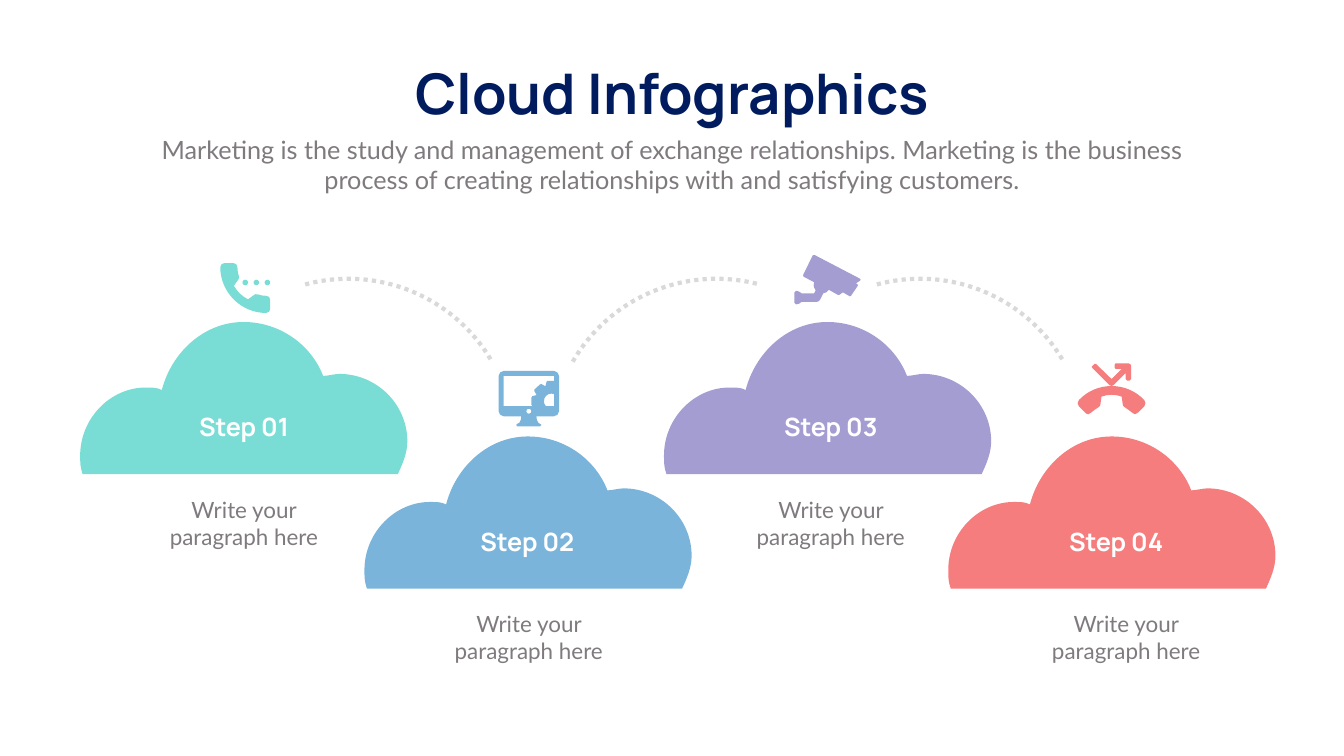
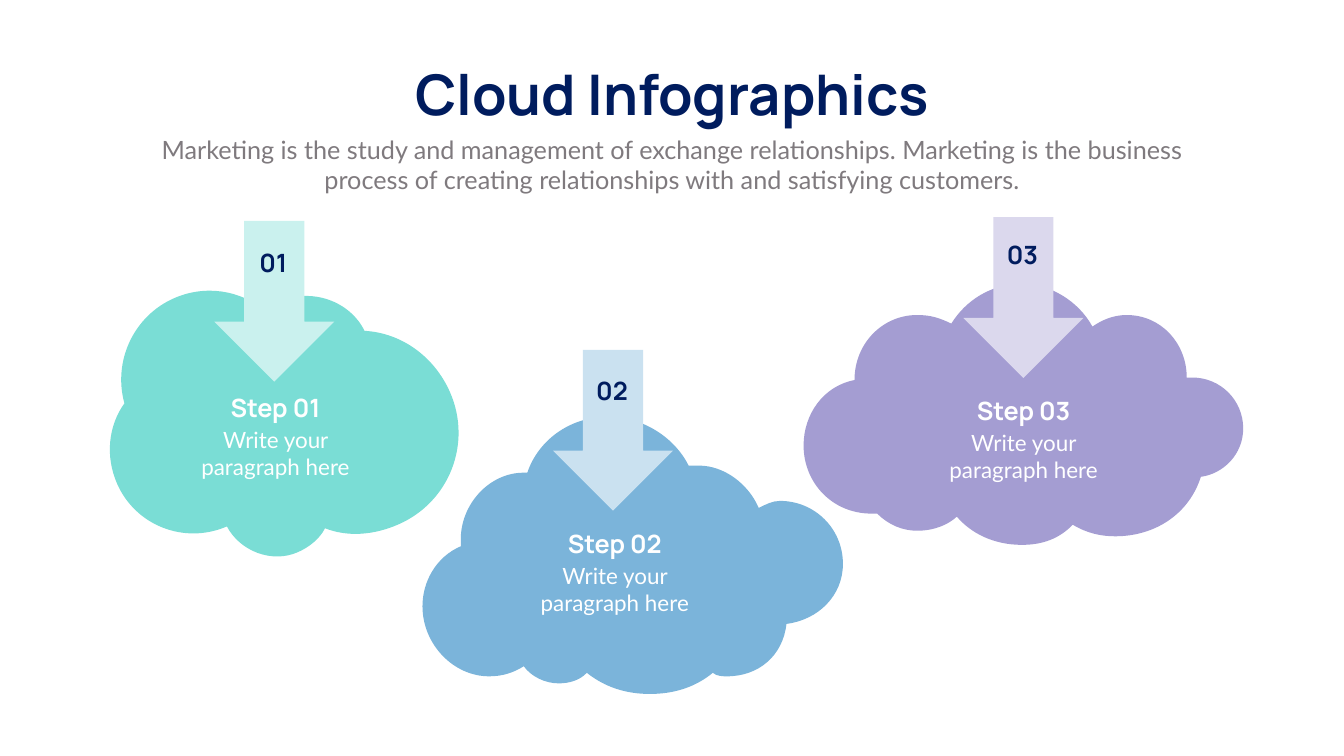
from dataclasses import dataclass

from lxml.etree import Element, SubElement
from pptx import Presentation
from pptx.dml.color import RGBColor
from pptx.enum.dml import MSO_LINE_DASH_STYLE as Dash
from pptx.enum.shapes import MSO_SHAPE as Preset
from pptx.enum.text import MSO_ANCHOR as Anchor, MSO_AUTO_SIZE as AutoSize, PP_ALIGN as Align
from pptx.oxml.ns import qn
from pptx.util import Pt


@dataclass(frozen=True)
class Theme:
    navy: str = "001C5E"
    grey: str = "7F7A7E"
    white: str = "FFFFFF"
    dots: str = "D9D9D9"
    accents: tuple = ("7ADDD5", "7BB4DA", "A49DD2", "F57D7D")
    tints: tuple = ("CAF1EE", "CAE1F0", "DBD8ED")
    # Text styles: font, size, bold
    title: tuple = ("Manrope", 80, True)
    heading: tuple = ("Manrope", 36, True)
    intro: tuple = ("Lato", 36, False)
    body: tuple = ("Lato", 32, False)


theme = Theme()
teal, blue, violet, coral = theme.accents
GRID = Pt(0.72)  # one unit of the outlines below

# Outlines: "x,y" is a line, six numbers are a curve, "/" starts a new contour
STEP_CLOUD = """630,302 639,283,649,260,649,237 649,163,588,103,514,103
    505,103,491,107,482,107 459,47,398,0,324,0 245,0,181,61,162,135
    153,130,144,130,130,130 60,130,0,191,0,265 0,279,0,288,5,302"""
MONITOR = """110,0 10,0 5,0,0,5,0,10 0,80 0,85,5,90,10,90 45,90 45,94,44,100,41,103
    40,104,39,105,37,105 36,105,35,106,35,107 35,109,36,110,37,110 82,110
    84,110,85,109,85,107 85,106,84,105,82,105 81,105,80,104,79,103
    76,100,75,94,75,90 110,90 115,90,120,85,120,80 120,10 120,5,115,0,110,0
    / 60,85 57,85,55,83,55,80 55,77,57,75,60,75 63,75,65,77,65,80 65,83,63,85,60,85
    / 82,27 71,37 70,38,70,39,71,40 75,47 75,47,75,48,75,48 67,50 66,50,65,51,65,53
    65,67 65,69,66,70,67,70 10,70 10,10 110,10 110,20 97,20 96,20,95,21,95,22 93,30
    93,30,92,30,92,30 85,26 84,26,83,26,82,27
    / 94,70 91,67,90,64,90,60 90,52,96,45,105,45 106,45,108,45,110,46 110,70"""
PHONE = """91,65 85,65,79,64,74,62 71,61,68,62,66,64 55,72 42,65,34,57,27,45 35,34
    37,32,38,29,37,26 35,20,34,14,34,8 34,4,31,0,26,0 8,0 4,0,0,4,0,8
    0,58,41,99,91,99 96,99,99,95,99,91 99,73 99,68,96,65,91,65"""
CAMERA = """130,47 40,0 39,0,38,0,38,0 37,0,36,1,36,1 17,40 16,41,17,43,18,43 39,54
    39,56,38,58,38,60 38,64,40,67,42,70 39,76 14,76 11,73,7,71,3,71 1,71,0,72,0,74
    0,95 0,97,1,98,3,98 7,98,11,96,14,93 44,93 47,93,50,91,51,88 57,76
    61,76,66,73,68,69 86,79 87,79,87,79,88,79 88,79,89,79,89,79 96,74 108,81
    108,82,109,82,109,82 110,82,111,81,112,81 125,62 126,61,126,60,126,59
    126,59,125,58,124,58 122,56 130,51 131,51,131,50,131,49 131,48,131,47,130,47"""
MISSED_ARROW = """34,43 35,44,37,45,38,45 39,45,41,44,42,43 66,19 66,31 66,32,67,34,69,34
    74,34 76,34,77,32,77,31 77,6 77,3,75,0,72,0 46,0 45,0,44,1,44,3 44,8
    44,10,45,11,46,11 58,11 38,31 7,1 6,0,5,0,4,1 0,5 -2,6,-2,8,0,9"""
HANDSET = """130,28 113,10,90,0,65,0 40,0,17,10,0,28 -3,31,-3,37,0,40 13,53
    14,55,17,56,19,56 21,56,23,55,24,53 29,49,34,45,39,42 42,41,43,38,43,35 45,21
    59,16,70,16,85,21 87,35 87,38,88,41,91,42 96,45,101,49,106,53
    109,57,114,57,117,53 130,40 133,37,133,31,130,28"""
TILTED_CLOUD = """571,210 568,144,509,89,438,89 428,88,417,92,405,93 376,37,318,0,251,0
    163,0,89,66,77,152 30,180,0,233,0,292 0,383,74,457,166,457 170,512,218,560,274,560
    299,560,325,553,343,538 376,571,424,589,479,589 590,589,678,500,678,390
    678,313,637,243,571,210"""
TALL_CLOUD = """834,292 834,222,778,167,709,167 694,167,681,174,667,181
    646,132,597,97,549,97 542,97,534,97,528,97 500,41,437,0,368,0 291,0,229,48,208,111
    201,111 132,111,76,174,76,243 76,250,76,250,76,257 27,278,0,327,0,376
    0,452,62,515,132,515 159,515,180,508,201,495 215,515,243,529,270,529
    291,529,312,523,326,508 361,536,403,550,451,550 500,550,542,536,576,508
    583,515,597,515,604,515 667,515,715,474,722,411 785,403,834,355,834,292"""
WIDE_CLOUD = """872,287 872,231,827,186,771,186 765,186,765,186,760,186
    760,118,709,62,641,62 613,62,590,73,573,85 545,34,489,0,433,0 371,0,321,34,293,79
    270,68,253,62,225,62 157,62,101,118,101,191 39,203,0,259,0,321 0,394,56,456,135,456
    140,456,140,456,146,456 168,478,196,490,225,490 259,490,287,478,304,462
    332,495,377,518,433,518 472,518,506,507,534,478 562,495,590,501,618,501
    698,501,765,456,788,383 833,377,872,338,872,287"""


def draw_outline(slide, outline, left, top, colour, rotation=0):
    contours = [[[int(number) for number in segment.split(",")] for segment in contour.split()]
                for contour in outline.split("/")]
    builder = slide.shapes.build_freeform(*contours[0][0], scale=GRID)
    for index, contour in enumerate(contours):
        if index:
            builder.move_to(*contour[0])
        builder.add_line_segments([segment[-2:] for segment in contour[1:]], close=True)
    shape = builder.convert_to_shape(Pt(left), Pt(top))
    shape.rotation = rotation
    shape.shadow.inherit = False
    shape.fill.solid()
    shape.fill.fore_color.rgb = RGBColor.from_string(colour)
    shape.line.fill.background()

    # Turn the six-number segments into true curves
    path = shape._element.find(".//" + qn("a:path"))
    segments = [segment for contour in contours for segment in contour[1:]]
    for line, segment in zip(path.findall(qn("a:lnTo")), segments):
        if len(segment) == 6:
            curve = Element(qn("a:cubicBezTo"))
            for x, y in zip(segment[::2], segment[1::2]):
                SubElement(curve, qn("a:pt"), x=str(x), y=str(y))
            path.replace(line, curve)


def write_text(slide, text, box, style, colour, shape=None):
    left, top, width, height = [Pt(length) for length in box]
    if shape is None:
        shape = slide.shapes.add_textbox(left, top, width, height)
    shape.left, shape.top, shape.width, shape.height = left, top, width, height
    frame = shape.text_frame
    frame.text = text
    frame.word_wrap = style != theme.title
    frame.auto_size = AutoSize.SHAPE_TO_FIT_TEXT
    frame.vertical_anchor = Anchor.TOP
    paragraph = frame.paragraphs[0]
    paragraph.alignment = Align.CENTER
    font = paragraph.runs[0].font
    font.name, size, font.bold = style
    font.size = Pt(size)
    font.color.rgb = RGBColor.from_string(colour)


presentation = Presentation()
presentation.slide_width, presentation.slide_height = Pt(1919.52), Pt(1080)

# Title and introduction on both slides
slides = []
for title_top in (80.6, 82.1):
    slide = presentation.slides.add_slide(presentation.slide_layouts[5])
    write_text(slide, "Cloud Infographics", (555.8, title_top, 808.6, 104.4),
               theme.title, theme.navy, slide.shapes.title)
    write_text(slide, "Marketing is the study and management of exchange relationships. "
               "Marketing is the business process of creating relationships with and "
               "satisfying customers.", (210.2, 187.9, 1499, 94.3), theme.intro, theme.grey)
    slides.append(slide)
steps_slide, arrows_slide = slides
CAPTION = "Write your paragraph here"

# Slide 1: clouds on two levels, with label and caption
steps = [  # cloud left, cloud top, label left, caption left
    (114.5, 460, 177.8, 195.8),
    (520.5, 623.5, 582.5, 602.6),
    (948.3, 460, 1015.9, 1033.9),
    (1354.3, 623.5, 1423.4, 1455.8),
]
for number, (left, top, label_left, caption_left) in enumerate(steps, 1):
    draw_outline(steps_slide, STEP_CLOUD, left, top, theme.accents[number - 1])
    write_text(steps_slide, f"Step {number:02}", (label_left, top + 124.4, 341.3, 51.1),
               theme.heading, theme.white)
    write_text(steps_slide, CAPTION, (caption_left, top + 244.8, 305.3, 85),
               theme.body, theme.grey)

# Icons above the clouds
for outline, left, top, colour in [
    (MONITOR, 712.1, 529.9, blue),
    (PHONE, 314.6, 375.8, teal),
    (CAMERA, 1134.7, 364.3, violet),
    (MISSED_ARROW, 1560.2, 519.1, coral),
    (HANDSET, 1540.8, 551.5, coral),
]:
    draw_outline(steps_slide, outline, left, top, colour)
for index in range(3):
    dot = steps_slide.shapes.add_shape(Preset.OVAL, Pt(346.3 + 15.84 * index), Pt(399.6),
                                       Pt(7.92), Pt(7.92))
    dot.shadow.inherit = False
    dot.fill.solid()
    dot.fill.fore_color.rgb = RGBColor.from_string(teal)
    dot.line.fill.background()

# Dotted arcs from step to step
for left, rotation in [(260.6, 344.9), (1077.1, 344.9), (786.2, 300)]:
    arc = steps_slide.shapes.add_shape(Preset.ARC, Pt(left), Pt(398.2), Pt(473.8), Pt(473.8))
    arc.adjustments[0], arc.adjustments[1] = 162, 206.57
    arc.rotation = rotation
    arc.shadow.inherit = False
    arc.fill.background()
    arc.line.color.rgb = RGBColor.from_string(theme.dots)
    arc.line.width = Pt(6)
    arc.line.dash_style = Dash.ROUND_DOT

# Slide 2: clouds
draw_outline(arrows_slide, TILTED_CLOUD, 147.6, 383, teal, rotation=336.5)
draw_outline(arrows_slide, TALL_CLOUD, 603.4, 595.4, blue)
draw_outline(arrows_slide, WIDE_CLOUD, 1147.7, 405.4, violet)

# Numbered arrows and the texts below them
arrows = [  # arrow left, arrow top, number top, label left, label top
    (306, 315.4, 349.9, 266.4, 557.3),
    (789.8, 499.7, 532.1, 751, 751),
    (1375.9, 310.3, 338.4, 1334.9, 560.9),
]
for number, (left, top, number_top, label_left, label_top) in enumerate(arrows, 1):
    arrow = arrows_slide.shapes.add_shape(Preset.DOWN_ARROW, Pt(left), Pt(top),
                                          Pt(171.4), Pt(229.7))
    arrow.shadow.inherit = False
    arrow.fill.solid()
    arrow.fill.fore_color.rgb = RGBColor.from_string(theme.tints[number - 1])
    arrow.line.fill.background()
    write_text(arrows_slide, f"{number:02}", (left + 8.7, number_top, 151.2, 51.1),
               theme.heading, theme.navy)
    write_text(arrows_slide, f"Step {number:02}", (label_left, label_top, 254.2, 51.1),
               theme.heading, theme.white)
    write_text(arrows_slide, CAPTION, (label_left, label_top + 48.2, 254.2, 85),
               theme.body, theme.white)

presentation.save("out.pptx")
